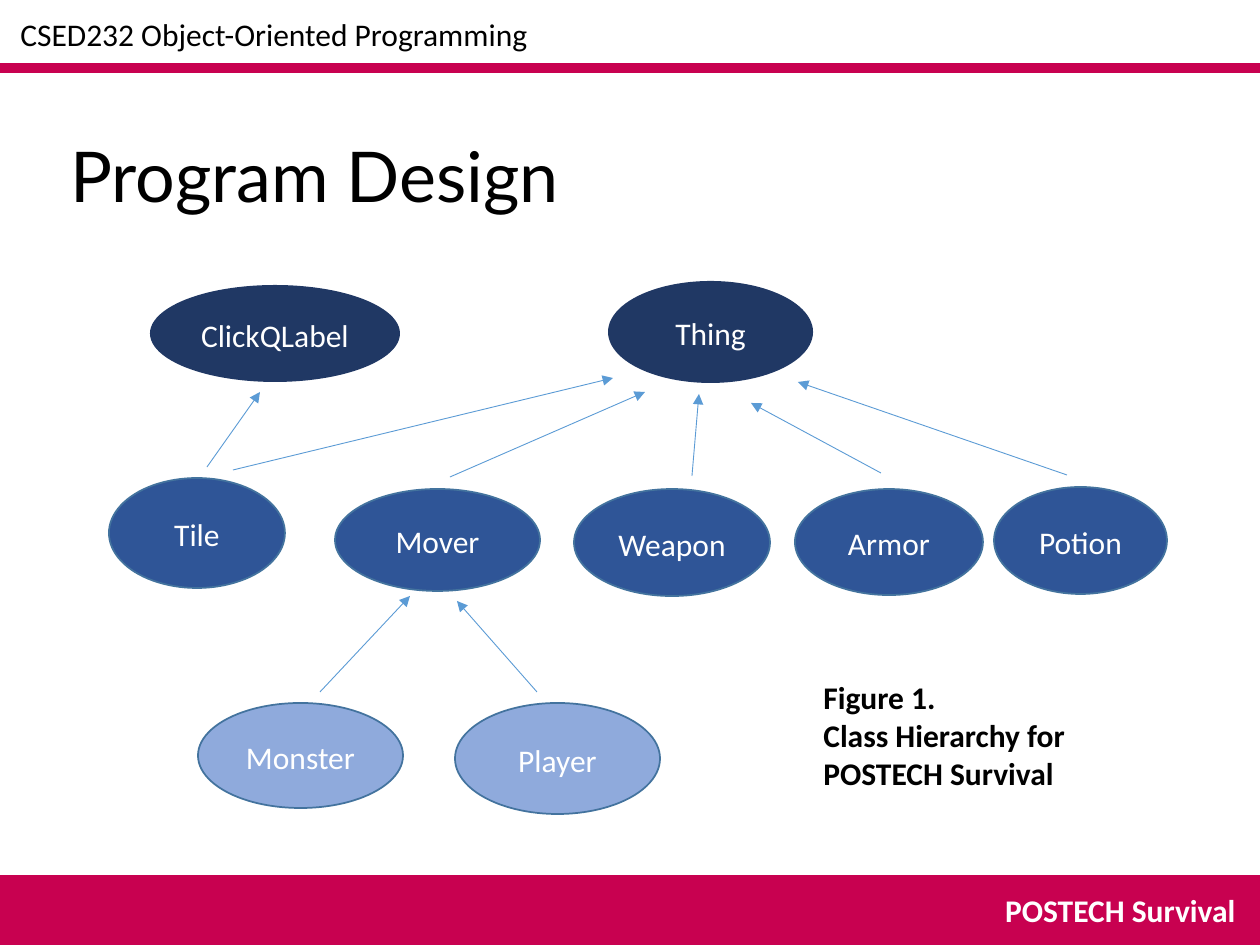
from lxml import etree
from pptx import Presentation
from pptx import util as u
from pptx.dml.color import RGBColor
from pptx.enum import shapes, text
from pptx.oxml.ns import qn

EMU_PER_PX = 914400 / 126
CRIMSON, ARROW, OUTLINE = "C80150", "5B9BD5", "43739E"
BLACK, WHITE = "000000", "FFFFFF"

LABELS = [
    (["Program Design"], (58, 126, 1163, 97), {"name": "Lato", "size": u.Pt(40)}, BLACK, "LEFT"),
    (["CSED232 Object-Oriented Programming"], (8, 9, 567, 50), {}, BLACK, "LEFT"),
    (["POSTECH Survival"], (847, 885, 401, 50), {"bold": True}, WHITE, "RIGHT"),
    (["Figure 1.", "Class Hierarchy for", "POSTECH Survival"],
     (811, 672, 292, 127), {"bold": True}, BLACK, "LEFT"),
]

LEVELS = [
    {"fill": "203864", "line": None, "classes": [
        ("ClickQLabel", (150, 285, 250, 97)),
        ("Thing", (608, 281, 205, 102)),
    ]},
    {"fill": "2F5597", "line": OUTLINE, "classes": [
        ("Tile", (109, 478, 176, 110)),
        ("Mover", (335, 489, 205, 102)),
        ("Weapon", (574, 489, 196, 107)),
        ("Armor", (795, 489, 188, 106)),
        ("Potion", (994, 487, 173, 107)),
    ]},
    {"fill": "8FAADC", "line": OUTLINE, "classes": [
        ("Monster", (198, 703, 205, 105)),
        ("Player", (455, 703, 205, 111)),
    ]},
]

INHERITANCE = [
    ((207, 467), (260, 392)),
    ((233, 470), (613, 378)),
    ((450, 477), (645, 392)),
    ((692, 476), (699, 394)),
    ((881, 473), (751, 403)),
    ((1067, 475), (798, 382)),
    ((320, 692), (410, 596)),
    ((537, 692), (457, 601)),
]


def px(*lengths):
    return [u.Emu(round(length * EMU_PER_PX)) for length in lengths]


def rgb(value):
    return RGBColor.from_string(value)


def set_all(target, values):
    for name, value in values.items():
        setattr(target, name, value)


def write(frame, lines, color, font=None, **layout):
    for index, line in enumerate(lines):
        paragraph = frame.paragraphs[0] if index == 0 else frame.add_paragraph()
        set_all(paragraph, layout)
        run = paragraph.add_run()
        run.text = line
        set_all(run.font, {"name": "Calibri", "size": u.Pt(18), **(font or {})})
        run.font.color.rgb = rgb(color)


def add_filled(slide, kind, box, fill, line=None):
    shape = slide.shapes.add_shape(kind, *px(*box))
    shape.shadow.inherit = False
    shape.fill.solid()
    shape.fill.fore_color.rgb = rgb(fill)
    if line:
        shape.line.color.rgb = rgb(line)
        shape.line.width = u.Pt(1)
    else:
        shape.line.fill.background()
    return shape


def add_line(slide, start, end, color, width, arrow=False):
    connector = slide.shapes.add_connector(
        shapes.MSO_CONNECTOR.STRAIGHT, *px(*start, *end))
    connector.line.color.rgb = rgb(color)
    connector.line.width = u.Pt(width)
    properties = connector._element.spPr
    if arrow:
        etree.SubElement(properties.find(qn("a:ln")), qn("a:tailEnd"), type="triangle")
    etree.SubElement(properties, qn("a:effectLst"))


def add_label(slide, lines, box, font, color, alignment):
    frame = slide.shapes.add_textbox(*px(*box)).text_frame
    frame.word_wrap = True
    write(frame, lines, color, font, alignment=getattr(text.PP_ALIGN, alignment))


def add_class(slide, name, box, fill, line):
    ellipse = add_filled(slide, shapes.MSO_SHAPE.OVAL, box, fill, line)
    ellipse.text_frame.vertical_anchor = text.MSO_ANCHOR.MIDDLE
    write(ellipse.text_frame, [name], WHITE, alignment=text.PP_ALIGN.CENTER,
          line_spacing=1.07, space_after=u.Pt(8))


def main():
    presentation = Presentation()
    presentation.slide_width, presentation.slide_height = px(1260, 945)
    slide = presentation.slides.add_slide(presentation.slide_layouts[6])

    add_filled(slide, shapes.MSO_SHAPE.RECTANGLE, (0, 875, 1260, 70), CRIMSON)
    add_line(slide, (0, 68), (1260, 68), CRIMSON, 6)
    for label in LABELS:
        add_label(slide, *label)
    for level in LEVELS:
        for name, box in level["classes"]:
            add_class(slide, name, box, level["fill"], level["line"])
    for child, parent in INHERITANCE:
        add_line(slide, child, parent, ARROW, 0.5, arrow=True)

    presentation.save("out.pptx")


if __name__ == "__main__":
    main()
